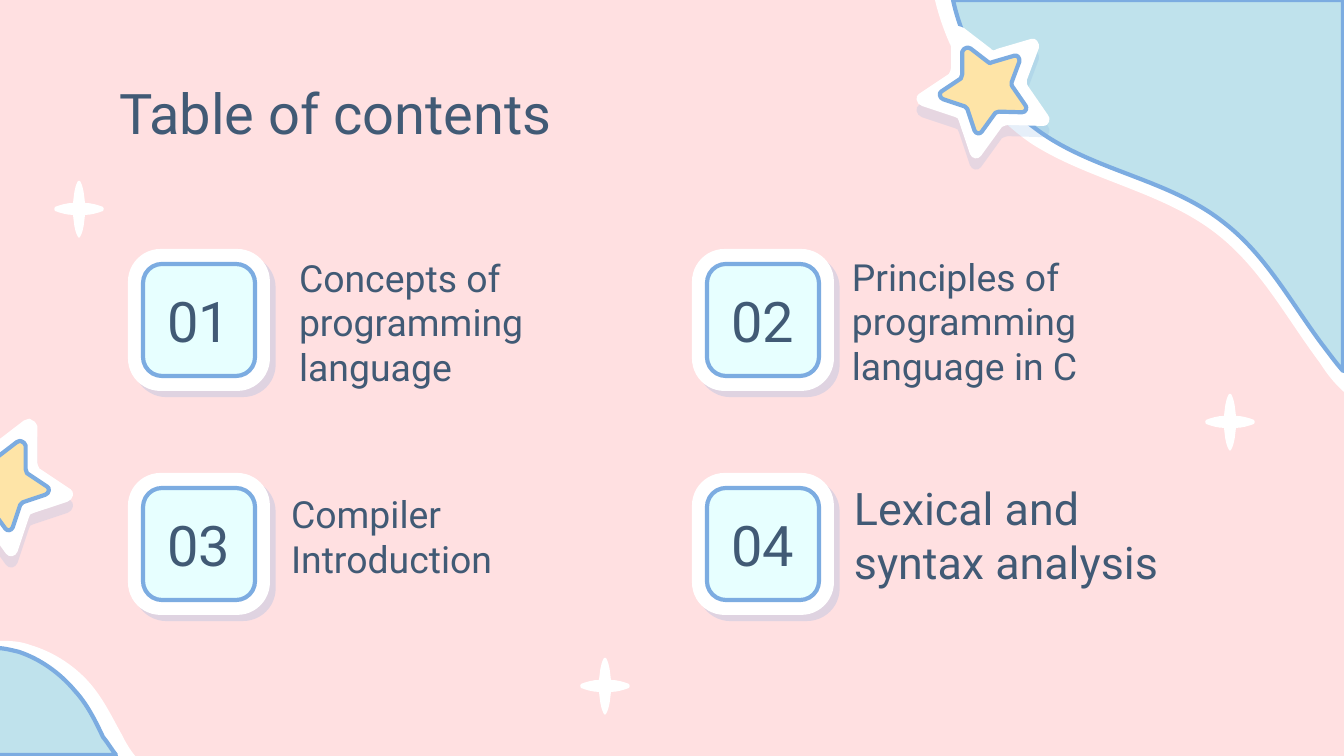
from lxml.etree import SubElement
from pptx import Presentation
from pptx.dml.color import RGBColor
from pptx.enum.shapes import MSO_SHAPE
from pptx.enum.text import MSO_ANCHOR, PP_ALIGN
from pptx.oxml.ns import qn
from pptx.util import Pt

PX = 9144000 / 1344  # EMU in one px
WHITE, SKY, MINT, YELLOW = "FFFFFF", "BFE2EC", "E7FFFF", "FEE4A7"
BLUE, INK, PINK = "7CACE1", "415A75", "FFE0E1"


def style_shape(shape, fill, line=None, shadow=None):
    """Set fill and line; shadow is (opacity in %, distance in pt, angle)."""
    shape.shadow.inherit = False
    shape.fill.solid()
    shape.fill.fore_color.rgb = RGBColor.from_string(fill)
    if line:
        shape.line.color.rgb = RGBColor.from_string(line)
        shape.line.width = Pt(2.25)
    else:
        shape.line.fill.background()
    if shadow:
        opacity, distance, angle = shadow
        effects = shape._element.spPr.find(qn("a:effectLst"))
        outer = SubElement(effects, qn("a:outerShdw"), dist=str(Pt(distance)),
                           dir=str(angle * 60000), algn="bl", rotWithShape="0")
        color = SubElement(outer, qn("a:srgbClr"), val=BLUE)
        SubElement(color, qn("a:alpha"), val=str(opacity * 1000))


def add_text(text, box, size=20, align=PP_ALIGN.LEFT, anchor=MSO_ANCHOR.MIDDLE, space_before=0):
    frame = slide.shapes.add_textbox(*[round(value * PX) for value in box]).text_frame
    frame.word_wrap = True
    frame.vertical_anchor = anchor
    frame.margin_left = frame.margin_right = round(13 * PX)
    frame.margin_top = frame.margin_bottom = round(13 * PX)
    paragraph = frame.paragraphs[0]
    paragraph.alignment = align
    paragraph.space_before = Pt(space_before)
    run = paragraph.add_run()
    run.text = text
    run.font.size = Pt(size)
    run.font.name = "Roboto"
    run.font.color.rgb = RGBColor.from_string(INK)


presentation = Presentation()
presentation.slide_width = round(1344 * PX)
presentation.slide_height = round(756 * PX)
slide = presentation.slides.add_slide(presentation.slide_layouts[6])
slide.background.fill.solid()
slide.background.fill.fore_color.rgb = RGBColor.from_string(PINK)

# Outlines in px: two numbers are a point to draw a line to,
# six numbers are two control points and the end of a curve.
bottom_wave_edge = [
    (-11, 757), (-12, 755, -13, 753, -16, 751), (-24, 739, -32, 727, -38, 715),
    (-43, 702, -46, 687, -42, 673), (-36, 659, -26, 648, -12, 644),
    (-7, 641, -1, 641, 5, 641), (13, 641, 22, 642, 30, 645),
    (54, 652, 77, 667, 93, 687), (105, 702, 113, 719, 122, 735),
    (126, 743, 130, 750, 136, 757),
]
bottom_wave = [
    (-19, 755), (-20, 754, -23, 753, -24, 750), (-31, 739, -39, 728, -44, 716),
    (-50, 704, -51, 691, -47, 677), (-43, 665, -34, 655, -22, 650),
    (-16, 649, -11, 648, -5, 648), (3, 648, 11, 650, 19, 652),
    (40, 659, 60, 673, 75, 691), (87, 704, 95, 720, 103, 737),
    (108, 743, 112, 750, 116, 755),
]
top_wave_edge = [
    (935, 0), (949, 58, 984, 112, 1032, 144), (1090, 181, 1164, 192, 1218, 235),
    (1261, 269, 1287, 319, 1320, 363), (1327, 374, 1334, 383, 1344, 392), (1344, 0),
]
top_wave = [
    (953, 0), (965, 55, 999, 105, 1046, 136), (1101, 172, 1171, 181, 1223, 222),
    (1265, 254, 1290, 301, 1321, 343), (1328, 352, 1335, 362, 1343, 371), (1343, 0),
]
# The star and the sparkle are drawn around their own centre.
star = [
    (-26, -60), (-25, -62, -22, -60, -19, -59),
    (7, -39), (10, -36, 11, -36, 14, -38),
    (48, -48), (53, -50, 57, -44, 56, -39),
    (44, -7), (44, -4, 44, -1, 45, -1),
    (65, 28), (68, 31, 67, 39, 60, 39),
    (25, 38), (24, 38, 21, 39, 19, 40),
    (-2, 69), (-5, 73, -11, 72, -13, 67),
    (-24, 34), (-25, 31, -25, 31, -28, 30),
    (-61, 19), (-67, 17, -68, 9, -64, 7),
    (-34, -13), (-33, -15, -32, -17, -32, -19),
    (-32, -54), (-30, -58, -29, -59, -26, -60),
]
sparkle = [
    (-1, -28), (-5, -21, -5, -13, -6, -6), (-12, -6, -19, -4, -24, -2),
    (-25, -1, -25, 1, -24, 2), (-19, 4, -12, 6, -6, 6),
    (-5, 13, -5, 21, -1, 28), (0, 29, 0, 29, 1, 28),
    (5, 21, 5, 13, 6, 6), (12, 6, 19, 4, 24, 2),
    (25, 1, 25, -1, 24, -2), (19, -4, 12, -6, 6, -6),
    (5, -13, 5, -21, 1, -28), (0, -29, 0, -29, -1, -28),
]

# outline, centre, horizontal scale, vertical scale, fill, line, shadow
drawings = [
    (bottom_wave_edge, (0, 0), 1, 1, WHITE, None, None),
    (bottom_wave, (0, 0), 1, 1, SKY, BLUE, None),
    (top_wave_edge, (0, 0), 1, 1, WHITE, None, None),
    (top_wave, (0, 0), 1, 1, SKY, BLUE, None),
]
for centre, width, height in [((4, 482), -1.04, 1.04), ((983, 87), 1, 1)]:
    drawings.append((star, centre, width, height, WHITE, None, (19, 6, 90)))
    drawings.append((star, centre, width * 0.65, height * 0.65, YELLOW, BLUE, None))
for centre in [(79, 209), (605, 686), (1230, 422)]:
    drawings.append((sparkle, centre, 1, 1, WHITE, None, None))

for outline, (left, top), width, height, fill, line, shadow in drawings:
    points = [((left + x * width) * PX, (top + y * height) * PX)
              for segment in outline for x, y in zip(segment[::2], segment[1::2])]
    builder = slide.shapes.build_freeform(*points[0])
    builder.add_line_segments(points[1:], close=True)
    shape = builder.convert_to_shape()
    # Join the three points of each curve into one Bézier segment.
    line_steps = iter(list(shape._element.iter(qn("a:lnTo"))))
    for segment in outline[1:]:
        step = next(line_steps)
        if len(segment) == 6:
            step.tag = qn("a:cubicBezTo")
            for _ in range(2):
                extra = next(line_steps)
                step.append(extra[0])
                extra.getparent().remove(extra)
    style_shape(shape, fill, line, shadow)

add_text("Table of contents", (106, 66, 1134, 85), size=30, anchor=MSO_ANCHOR.TOP)

topics = [
    ("Concepts of programming language", (286, 251, 395, 142), 20),
    ("Principles of programming language in C", (839, 251, 376, 140), 20),
    ("Compiler Introduction", (278, 473, 375, 127), 20),
    ("Lexical and syntax analysis", (841, 483, 376, 103), 24),
]
for index, (topic, box, size) in enumerate(topics):
    row, column = divmod(index, 2)
    left, top = 128 + 564 * column, 249 + 224 * row
    for inset, corner, fill, line, shadow in [
        (0, 0.23, WHITE, None, (24, 4.5, 47)),
        (15, 0.17, MINT, BLUE, None),
    ]:
        side = round((142 - 2 * inset) * PX)
        tile = slide.shapes.add_shape(MSO_SHAPE.ROUNDED_RECTANGLE, round((left + inset) * PX),
                                      round((top + inset) * PX), side, side)
        tile.adjustments[0] = corner
        style_shape(tile, fill, line, shadow)
    add_text(f"{index + 1:02}", (left + 7, top + 36, 128, 70), size=30,
             align=PP_ALIGN.CENTER, space_before=10)
    add_text(topic, box, size=size)

presentation.save("out.pptx")
